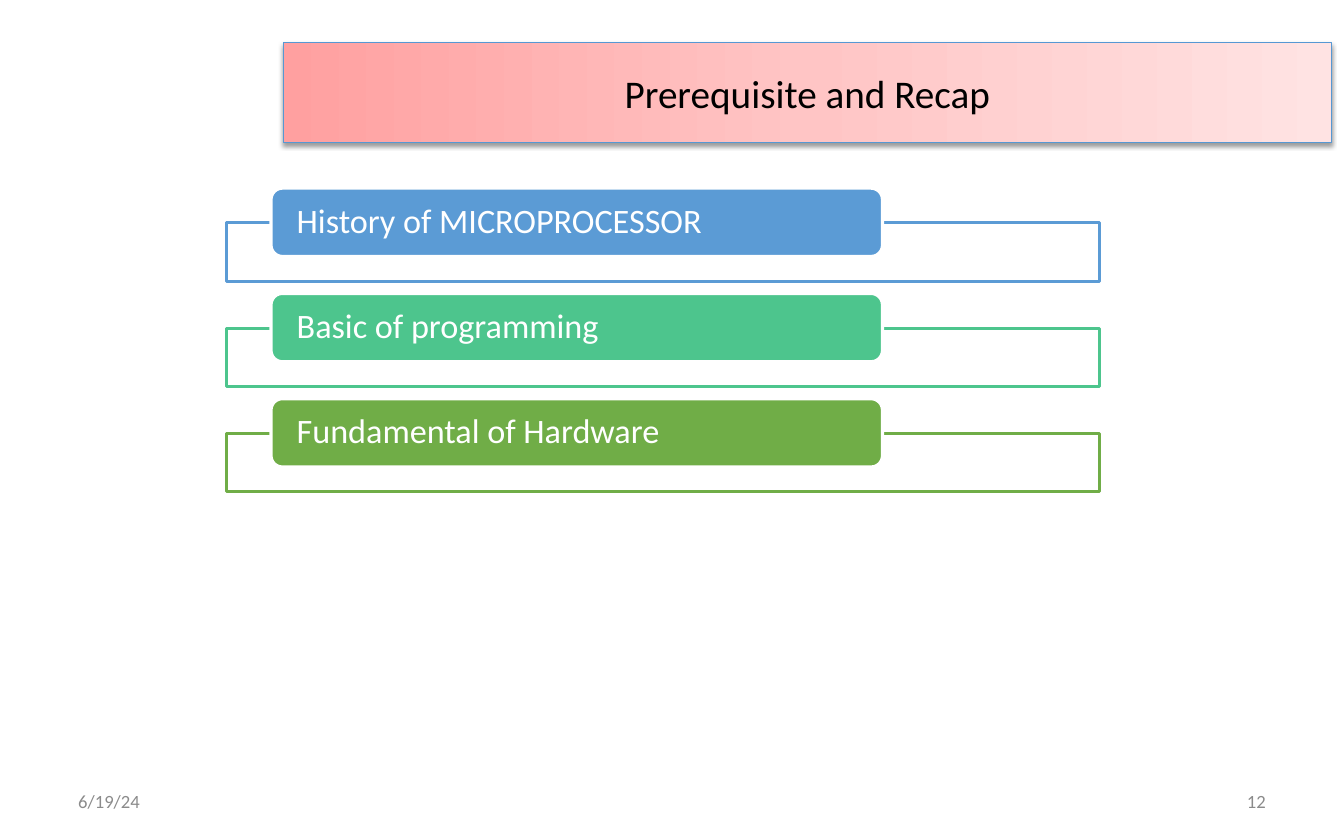
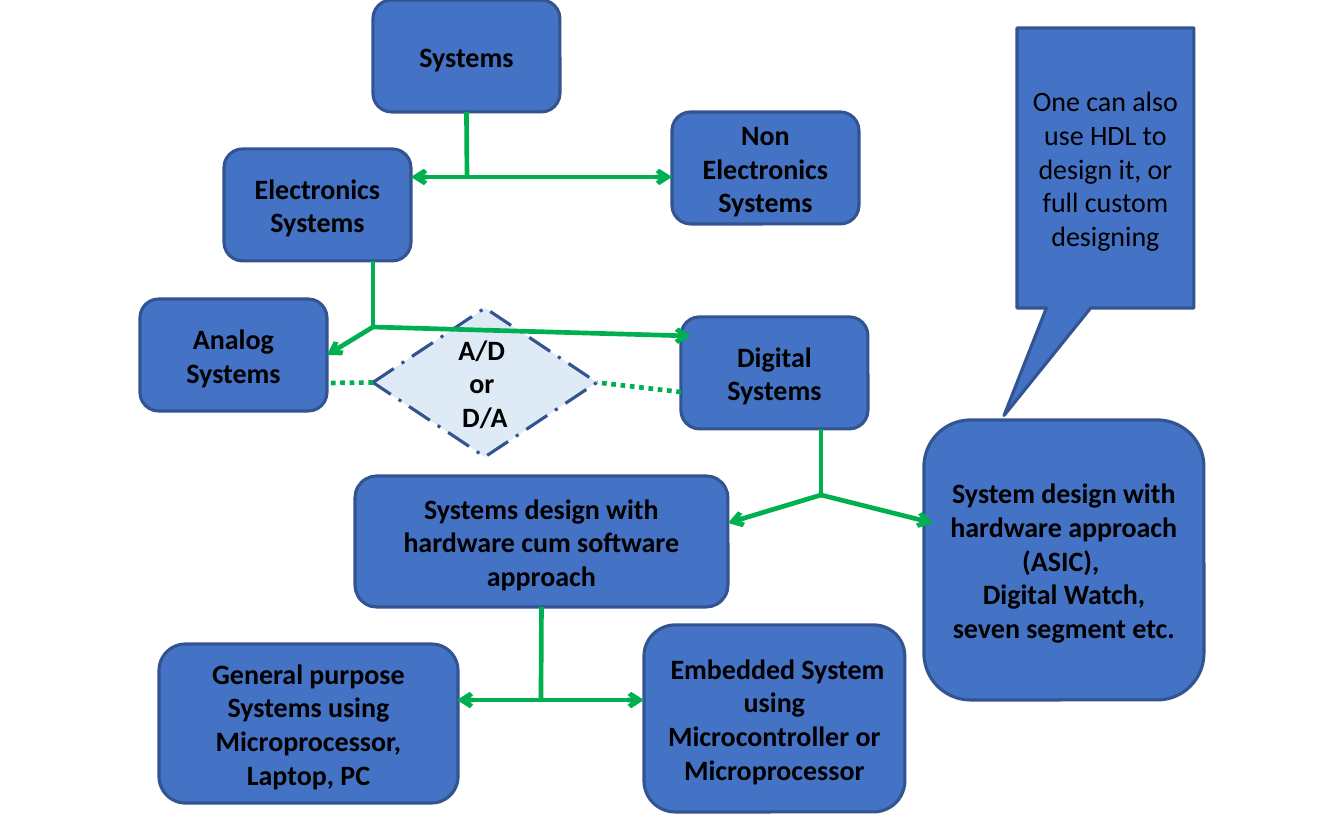
from copy import deepcopy

from pptx import Presentation
from pptx.dml.color import RGBColor
from pptx.enum.dml import MSO_LINE
from pptx.enum.shapes import MSO_CONNECTOR, MSO_SHAPE
from pptx.enum.text import MSO_ANCHOR, MSO_AUTO_SIZE, PP_ALIGN
from pptx.oxml import parse_xml
from pptx.oxml.ns import nsdecls, qn
from pptx.util import Inches, Pt

RECT, ROUND = MSO_SHAPE.RECTANGLE, MSO_SHAPE.ROUNDED_RECTANGLE
DECISION, CALLOUT = MSO_SHAPE.FLOWCHART_DECISION, MSO_SHAPE.RECTANGULAR_CALLOUT
STRAIGHT = MSO_CONNECTOR.STRAIGHT
DASH_DOT, DOTTED = MSO_LINE.LONG_DASH_DOT, MSO_LINE.ROUND_DOT
LEFT, CENTER, RIGHT = PP_ALIGN.LEFT, PP_ALIGN.CENTER, PP_ALIGN.RIGHT
MIDDLE = MSO_ANCHOR.MIDDLE
NO_FIT = MSO_AUTO_SIZE.NONE
TOP_SITE, LEFT_SITE, BOTTOM_SITE, RIGHT_SITE = range(4)

BLACK = RGBColor(0x00, 0x00, 0x00)
WHITE = RGBColor(0xFF, 0xFF, 0xFF)
GREY = RGBColor(0x8B, 0x8B, 0x8B)
SKY = RGBColor(0x5B, 0x9B, 0xD5)
MINT = RGBColor(0x4D, 0xC5, 0x8D)
LEAF = RGBColor(0x70, 0xAD, 0x47)
TITLE_EDGE = RGBColor(0x56, 0x98, 0xD3)
TITLE_PINKS = [RGBColor(0xFF, 0xA0, 0xA0), RGBColor(0xFF, 0xC5, 0xC5),
               RGBColor(0xFF, 0xE3, 0xE3)]
NODE_BLUE = RGBColor(0x44, 0x72, 0xC4)
NODE_EDGE = RGBColor(0x32, 0x54, 0x91)
PALE_BLUE = RGBColor(0xDE, 0xEB, 0xF7)
FLOW_GREEN = RGBColor(0x00, 0xB0, 0x50)

FONT = "Calibri"
FOOTER_TOP = 6.95
TOPICS = [("History of MICROPROCESSOR", SKY), ("Basic of programming", MINT),
          ("Fundamental of Hardware", LEAF)]
TOPIC_TOP, TOPIC_STEP = 1.68, 0.94

# key: (box, paragraphs)
NODES = {
    "systems": ((3.33, 0, 1.67, 1), ["Systems"]),
    "non_electronics": ((6, 1, 1.67, 1), ["Non Electronics Systems"]),
    "analog": ((1.25, 2.67, 1.67, 1), ["Analog Systems"]),
    "electronics": ((2, 1.33, 1.67, 1), ["Electronics Systems"]),
    "digital": ((6.08, 2.83, 1.67, 1), ["Digital Systems"]),
    "mixed_design": ((3.17, 4.25, 3.33, 1.17),
                     ["Systems design with hardware cum software approach"]),
    "hardware_design": ((8.25, 3.75, 2.5, 2.5),
                        ["System design with hardware approach (ASIC), ",
                         "Digital Watch, seven segment etc."]),
    "embedded": ((5.75, 5.58, 2.33, 1.67),
                 [" Embedded System using Microcontroller or Microprocessor"]),
    "general": ((1.42, 5.75, 2.67, 1.42),
                ["General purpose Systems using Microprocessor, Laptop, PC"]),
}

# Points where the flow branches
SYSTEMS_FORK = (4.17, 1.58)
ELECTRONICS_FORK = (3.33, 2.92)
DIGITAL_FORK = (7.33, 4.42)
DESIGN_FORK = (4.83, 6.25)


def set_text(frame, paragraphs, size, color, align=CENTER, bold=False, spacing=None):
    frame.word_wrap = True
    frame.auto_size = NO_FIT
    frame.vertical_anchor = MIDDLE
    frame.text = "\n".join(paragraphs)
    font_format = {"name": FONT, "size": Pt(size), "bold": bold}
    for paragraph in frame.paragraphs:
        paragraph.alignment = align
        paragraph.line_spacing = spacing
        for attribute, value in font_format.items():
            setattr(paragraph.font, attribute, value)
        paragraph.font.color.rgb = color


def set_margins(frame, side, vertical):
    margins = {"margin_left": side, "margin_right": side,
               "margin_top": vertical, "margin_bottom": vertical}
    for attribute, value in margins.items():
        setattr(frame, attribute, Inches(value))


def add_box(slide, kind, box, fill, edge):
    shape = slide.shapes.add_shape(kind, *map(Inches, box))
    shape.shadow.inherit = False
    shape.fill.solid()
    shape.fill.fore_color.rgb = fill
    shape.line.color.rgb = edge
    shape.line.width = Pt(2)
    return shape


def add_title(slide, text):
    title = slide.shapes.title
    place = dict(left=2.53, top=0.38, width=9.36, height=0.89)
    for attribute, value in place.items():
        setattr(title, attribute, Inches(value))
    set_text(title.text_frame, [text], 25.2, BLACK)
    set_margins(title.text_frame, 0.09, 0.04)

    # Three-stop gradient
    title.fill.gradient()
    title.fill.gradient_angle = 0
    properties = title._element.spPr
    stop_list = properties.find(".//" + qn("a:gsLst"))
    stop_list.append(deepcopy(stop_list[-1]))
    for index, (stop, pink) in enumerate(zip(title.fill.gradient_stops, TITLE_PINKS)):
        stop.position = index / 2
        stop.color.rgb = pink
    title.line.color.rgb = TITLE_EDGE
    title.line.width = Pt(0.75)

    # Soft shadow below
    properties.append(parse_xml(
        f'<a:effectLst {nsdecls("a")}>'
        f'<a:outerShdw blurRad="{Pt(3.1)}" dist="{Pt(1.6)}" dir="5400000" rotWithShape="0">'
        '<a:srgbClr val="000000"><a:alpha val="38000"/></a:srgbClr>'
        '</a:outerShdw></a:effectLst>'))


def add_footer(slide, left, text, align):
    footer = slide.shapes.add_textbox(*map(Inches, (left, FOOTER_TOP, 2.8, 0.4)))
    set_text(footer.text_frame, [text], 12, GREY, align)


def add_topic(slide, top, text, color):
    add_box(slide, RECT, (2.02, top + 0.31, 7.8, 0.52), WHITE, color)
    label = add_box(slide, ROUND, (2.42, top, 5.46, 0.61), color, WHITE)
    set_text(label.text_frame, [text], 22, WHITE, LEFT, spacing=0.9)
    set_margins(label.text_frame, 0.2, 0)


def add_node(slide, box, paragraphs, kind=ROUND, fill=NODE_BLUE, bold=True):
    node = add_box(slide, kind, box, fill, NODE_EDGE)
    set_text(node.text_frame, paragraphs, 18, BLACK, bold=bold)
    return node


def add_flow(slide, start, end, arrow=False, dash=None, begin_at=None, end_at=None):
    """begin_at and end_at are (node, side) pairs to join."""
    flow = slide.shapes.add_connector(STRAIGHT, *map(Inches, (*start, *end)))
    flow.line.color.rgb = FLOW_GREEN
    flow.line.width = Pt(3)
    if dash:
        flow.line.dash_style = dash
    if arrow:
        flow.line._get_or_add_ln().append(
            parse_xml(f'<a:tailEnd {nsdecls("a")} type="arrow"/>'))
    flow._element.spPr.append(parse_xml(f'<a:effectLst {nsdecls("a")}/>'))
    if begin_at:
        flow.begin_connect(*begin_at)
    if end_at:
        flow.end_connect(*end_at)


def build_recap(slide):
    add_title(slide, "Prerequisite and Recap")
    for index, (text, color) in enumerate(TOPICS):
        add_topic(slide, TOPIC_TOP + index * TOPIC_STEP, text, color)
    add_footer(slide, 0.6, "6/19/24", LEFT)
    add_footer(slide, 8.6, "12", RIGHT)


def build_system_tree(slide):
    # Boxes
    nodes = {key: add_node(slide, *node) for key, node in NODES.items()}
    converter = add_node(slide, (3.33, 2.75, 2, 1.33), ["A/D ", "or ", "D/A"],
                         DECISION, PALE_BLUE)
    converter.line.dash_style = DASH_DOT
    remark = add_node(slide, (9.08, 0.25, 1.58, 2.5),
                      ["One can also use HDL to design it, or full custom designing"],
                      CALLOUT, bold=False)
    remark.adjustments[0], remark.adjustments[1] = -0.573, 0.884

    # Stems down to each fork
    add_flow(slide, (4.17, 1), SYSTEMS_FORK, begin_at=(nodes["systems"], BOTTOM_SITE))
    add_flow(slide, (3.33, 2.33), ELECTRONICS_FORK)
    add_flow(slide, (7.33, 3.83), DIGITAL_FORK)
    add_flow(slide, (4.83, 5.42), DESIGN_FORK,
             begin_at=(nodes["mixed_design"], BOTTOM_SITE))

    # Branches
    for fork, target in [(SYSTEMS_FORK, (3.67, 1.58)), (SYSTEMS_FORK, (6, 1.58)),
                         (ELECTRONICS_FORK, (6.17, 3)),
                         (DIGITAL_FORK, (6.5, 4.67)), (DIGITAL_FORK, (8.33, 4.67)),
                         (DESIGN_FORK, (4.08, 6.25)), (DESIGN_FORK, (5.75, 6.25))]:
        add_flow(slide, fork, target, arrow=True)
    add_flow(slide, ELECTRONICS_FORK, (2.92, 3.17), arrow=True,
             end_at=(nodes["analog"], RIGHT_SITE))

    # Dotted links through the converter
    add_flow(slide, (3.33, 3.42), (2.92, 3.42), dash=DOTTED,
             begin_at=(converter, LEFT_SITE))
    add_flow(slide, (6.08, 3.5), (5.33, 3.42), dash=DOTTED,
             end_at=(converter, RIGHT_SITE))


def main():
    deck = Presentation()
    deck.slide_width, deck.slide_height = Inches(12), Inches(7.5)
    title_only, blank = deck.slide_layouts[5], deck.slide_layouts[6]
    build_recap(deck.slides.add_slide(title_only))
    build_system_tree(deck.slides.add_slide(blank))
    deck.save("out.pptx")


if __name__ == "__main__":
    main()
